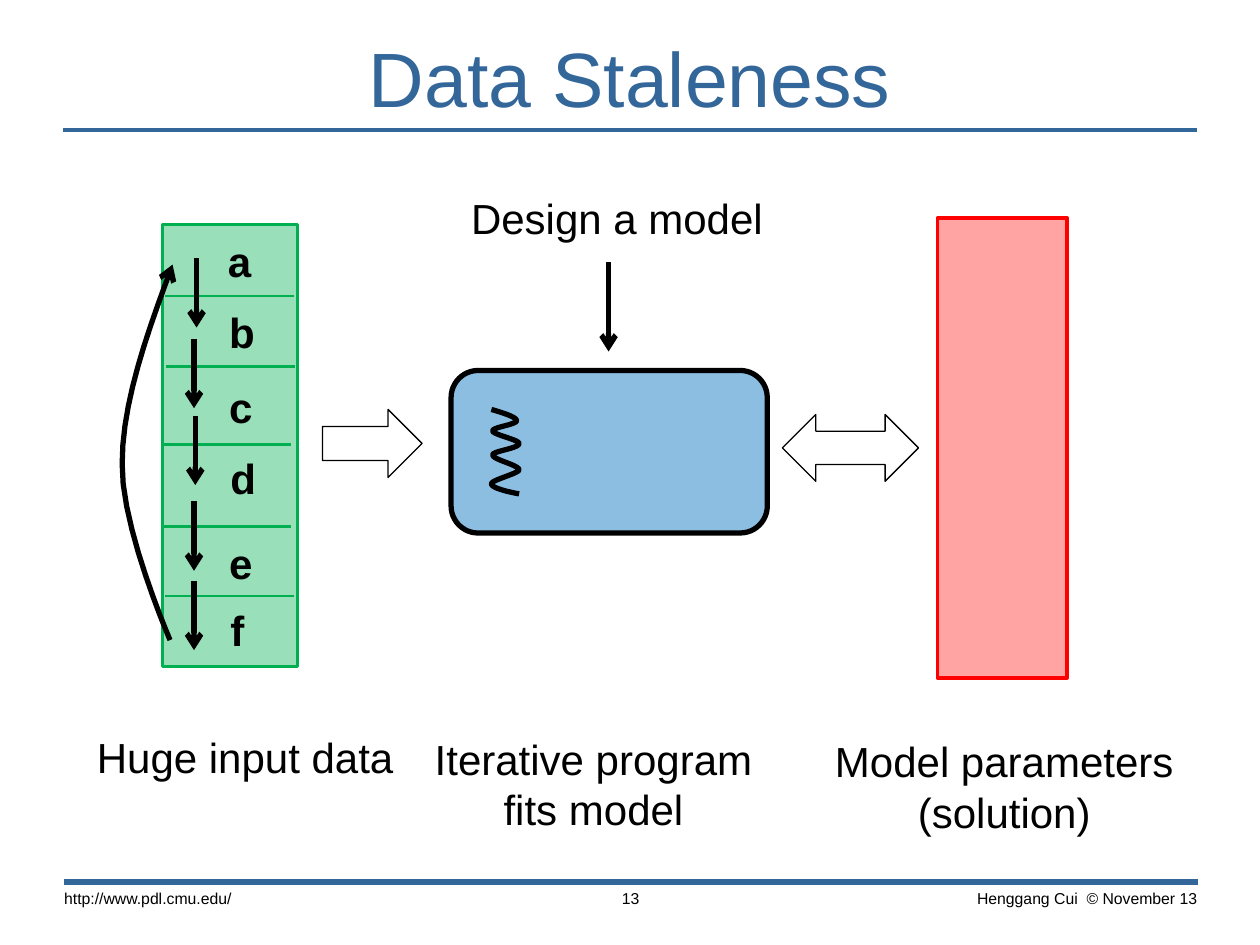
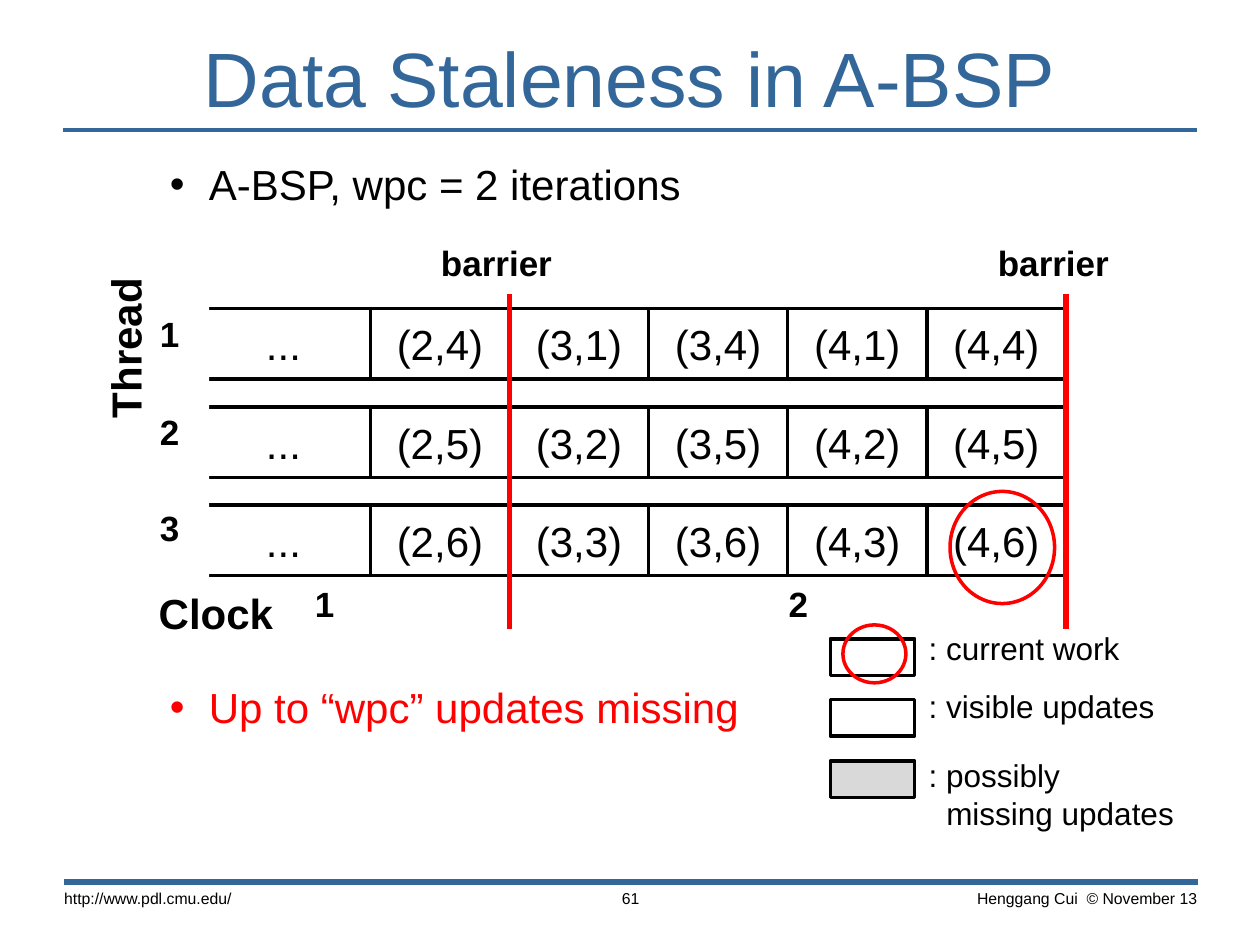
"""Builds two slides on data staleness: the iterative model and the A-BSP schedule."""
from dataclasses import dataclass

from lxml import etree
from pptx import Presentation
from pptx import util as u
from pptx.dml import color
from pptx.enum import shapes, text
from pptx.oxml import ns

FONT = "Arial"
BLUE, BLACK, WHITE = "336699", "000000", "FFFFFF"
RED, GREEN, SKY, GREY = "FF0000", "00B050", "0070C0", "D9D9D9"
LEFT, MID, RIGHT = text.PP_ALIGN.LEFT, text.PP_ALIGN.CENTER, text.PP_ALIGN.RIGHT
KIND = shapes.MSO_SHAPE
WIDE, TIGHT, FOOT = (0.1, 0.05), (0.07, 0.03), (0.11, 0.06)


@dataclass
class Label:
    """A block of text; each line is a run, parted by line breaks."""
    x: float
    y: float
    w: float
    h: float
    lines: tuple
    size: float = 24
    bold: bool = False
    align: int = LEFT
    pad: tuple = WIDE
    hang: float = 0


@dataclass
class Box:
    """A preset shape with its outline, fill and opacity in percent."""
    kind: int
    x: float
    y: float
    w: float
    h: float
    line: str = BLACK
    width: float = 2
    fill: str = ""
    alpha: int = 100


@dataclass
class Rule:
    """A straight line, with an open arrowhead at its end if wanted."""
    x: float
    y: float
    x2: float
    y2: float
    hue: str = BLACK
    width: float = 3
    arrow: bool = False


def rgb(hue: str) -> color.RGBColor:
    """Turn a hex string into a colour."""
    return color.RGBColor.from_string(hue)


def place(x: float, y: float, w: float, h: float) -> list:
    """Turn four numbers in inches into lengths."""
    return [u.Inches(n) for n in (x, y, w, h)]


def add_run(para, words: str, size: float, hue: str = BLACK, bold: bool = False) -> None:
    """Add one run in the deck font."""
    run = para.add_run()
    run.text = words
    font = run.font
    font.name, font.size, font.bold = FONT, u.Pt(size), bold
    font.color.rgb = rgb(hue)


def set_pad(frame, pad: tuple) -> None:
    """Set wrapping and the inner margins of a text frame."""
    frame.word_wrap = True
    frame.margin_left = frame.margin_right = u.Inches(pad[0])
    frame.margin_top = frame.margin_bottom = u.Inches(pad[1])


def set_hang(para, left: float, hang: float) -> None:
    """Give a paragraph a hanging indent."""
    props = para._p.get_or_add_pPr()
    props.set("marL", str(u.Inches(left)))
    props.set("indent", str(-u.Inches(hang)))


def add_label(slide, item: Label):
    """Draw a text box."""
    shape = slide.shapes.add_textbox(*place(item.x, item.y, item.w, item.h))
    set_pad(shape.text_frame, item.pad)
    para = shape.text_frame.paragraphs[0]
    para.alignment = item.align
    if item.hang:
        set_hang(para, item.hang, item.hang)
    for i, words in enumerate(item.lines):
        if i:
            para.add_line_break()
        add_run(para, words, item.size, bold=item.bold)
    return shape


def set_line(line, hue: str, width: float, end: str = "") -> None:
    """Set an outline and the arrowhead at the named end."""
    line.color.rgb = rgb(hue)
    line.width = u.Pt(width)
    if end:
        etree.SubElement(line._get_or_add_ln(), ns.qn("a:" + end)).set("type", "arrow")


def add_box(slide, item: Box):
    """Draw a preset shape."""
    shape = slide.shapes.add_shape(item.kind, *place(item.x, item.y, item.w, item.h))
    shape.shadow.inherit = False
    if item.fill:
        shape.fill.solid()
        shape.fill.fore_color.rgb = rgb(item.fill)
    else:
        shape.fill.background()
    if item.alpha < 100:
        tint = shape.element.spPr.find(ns.qn("a:solidFill"))[0]
        etree.SubElement(tint, ns.qn("a:alpha")).set("val", str(item.alpha * 1000))
    if item.line:
        set_line(shape.line, item.line, item.width)
    else:
        shape.line.fill.background()
    return shape


def add_rule(slide, item: Rule) -> None:
    """Draw a straight connector."""
    ends = place(item.x, item.y, item.x2, item.y2)
    rule = slide.shapes.add_connector(shapes.MSO_CONNECTOR.STRAIGHT, *ends)
    set_line(rule.line, item.hue, item.width, "tailEnd" if item.arrow else "")
    etree.SubElement(rule.element.spPr, ns.qn("a:effectLst"))


def add_curve(slide, start: tuple, curves: list, end: str = "", steps: int = 10) -> None:
    """Draw an open outline through cubic curves."""
    points, last = [], start
    for x1, y1, x2, y2, x3, y3 in curves:
        for i in range(1, steps + 1):
            t = i / steps
            s = 1 - t
            mix = (s ** 3, 3 * s * s * t, 3 * s * t * t, t ** 3)
            x = sum(m * n for m, n in zip(mix, (last[0], x1, x2, x3)))
            y = sum(m * n for m, n in zip(mix, (last[1], y1, y2, y3)))
            points.append((u.Inches(x), u.Inches(y)))
        last = (x3, y3)
    pen = slide.shapes.build_freeform(u.Inches(start[0]), u.Inches(start[1]))
    pen.add_line_segments(points, close=False)
    shape = pen.convert_to_shape()
    shape.shadow.inherit = False
    shape.fill.background()
    set_line(shape.line, BLACK, 3, end)


def add_slide(deck, title: str, page: int):
    """Add a slide with its title, two rules and footer."""
    slide = deck.slides.add_slide(deck.slide_layouts[5])
    head = slide.shapes.title
    head.left, head.top, head.width, head.height = place(0, 0.23, 10, 0.75)
    frame = head.text_frame
    frame.auto_size = text.MSO_AUTO_SIZE.NONE
    frame.vertical_anchor = text.MSO_ANCHOR.MIDDLE
    para = frame.paragraphs[0]
    para.alignment = MID
    add_run(para, title, 44, BLUE)
    add_rule(slide, Rule(0.5, 1.03, 9.5, 1.03, BLUE, 2))
    add_rule(slide, Rule(0.51, 7, 9.51, 7, BLUE, 3.5))
    for x, w, words, align in (
        (0.4, 2.5, "http://www.pdl.cmu.edu/", LEFT),
        (4.03, 1.95, str(page), MID),
        (7.07, 2.54, "Henggang Cui  © November 13", RIGHT),
    ):
        add_label(slide, Label(x, 6.99, w, 0.3, (words,), 9, align=align, pad=FOOT))
    return slide


def draw_model(deck) -> None:
    """Draw the slide on input data, program and parameters."""
    slide = add_slide(deck, "Data Staleness", 13)
    for box in (
        Box(KIND.ROUNDED_RECTANGLE, 3.58, 2.94, 2.51, 1.29, width=3, fill=SKY, alpha=45),
        Box(KIND.RECTANGLE, 7.44, 1.73, 1.03, 3.65, RED, fill=RED, alpha=36),
        Box(KIND.RIGHT_ARROW, 2.56, 3.25, 0.79, 0.54, width=0.75, fill=WHITE),
        Box(KIND.LEFT_RIGHT_ARROW, 6.21, 3.29, 1.08, 0.53, width=0.75, fill=WHITE),
        Box(KIND.RECTANGLE, 1.29, 1.78, 1.07, 3.51, GREEN, fill=GREEN, alpha=40),
    ):
        add_box(slide, box)
    for label in (
        Label(3.17, 5.77, 3.08, 0.91, ("Iterative program", "fits model"), align=MID),
        Label(3.64, 1.48, 2.6, 0.5, ("Design a model",)),
        Label(0.67, 5.76, 2.58, 0.5, ("Huge input data",)),
        Label(6.51, 5.79, 2.92, 0.91, ("Model parameters", "(solution)"), align=MID),
    ):
        add_label(slide, label)
    add_rule(slide, Rule(4.83, 2.08, 4.83, 2.79, arrow=True))
    for x, y in ((1.31, 2.35), (1.32, 2.91), (1.29, 3.53), (1.29, 4.18), (1.31, 4.73)):
        add_rule(slide, Rule(x, y, x + 1.02, y, GREEN, 1.5))
    add_curve(slide, (3.9, 3.25), [
        (4, 3.28, 4.1, 3.31, 4.1, 3.34),
        (4.1, 3.37, 3.91, 3.39, 3.91, 3.42),
        (3.91, 3.45, 4.12, 3.49, 4.12, 3.52),
        (4.12, 3.56, 3.91, 3.58, 3.91, 3.61),
        (3.91, 3.65, 4.12, 3.69, 4.12, 3.73),
        (4.11, 3.76, 3.9, 3.81, 3.9, 3.84),
        (3.9, 3.87, 4.01, 3.9, 4.12, 3.92),
    ])
    add_curve(slide, (1.37, 2.1), [
        (1.17, 2.64, 0.97, 3.19, 0.97, 3.68),
        (0.96, 4.18, 1.35, 5.08, 1.35, 5.08),
    ], "headEnd")
    for x, y in ((1.56, 2.05), (1.54, 2.69), (1.55, 3.3), (1.54, 3.98), (1.54, 4.61)):
        add_rule(slide, Rule(x, y, x, y + 0.55, arrow=True))
    spots = ((1.71, 1.82), (1.72, 2.38), (1.72, 2.98), (1.73, 3.54), (1.72, 4.22), (1.73, 4.75))
    for name, (x, y) in zip("abcdef", spots):
        add_label(slide, Label(x, y, 0.37, 0.5, (name,), bold=True))


def add_points(slide) -> None:
    """Write the bullets above and below the schedule."""
    frame = slide.shapes.add_textbox(*place(0.75, 1.21, 8.63, 5.08)).text_frame
    set_pad(frame, WIDE)
    points = (("A-BSP, wpc = 2 iterations", BLACK), ("Up to “wpc” updates missing", RED))
    for i, (words, hue) in enumerate(points):
        para = frame.add_paragraph() if i else frame.paragraphs[0]
        set_hang(para, 0.81, 0.31)
        if i:
            para.space_before = u.Pt(270)
        props = para._p.get_or_add_pPr()
        etree.SubElement(props, ns.qn("a:buFont")).set("typeface", FONT)
        etree.SubElement(props, ns.qn("a:buChar")).set("char", "•")
        add_run(para, words, 24, hue)


def add_cell(slide, x: float, y: float, w: float, words: str) -> None:
    """Draw one work item of the schedule."""
    shape = add_box(slide, Box(KIND.RECTANGLE, x, y, w, 0.56))
    frame = shape.text_frame
    set_pad(frame, TIGHT)
    frame.vertical_anchor = text.MSO_ANCHOR.MIDDLE
    para = frame.paragraphs[0]
    para.alignment = MID
    add_run(para, words, 24)


def draw_bsp(deck) -> None:
    """Draw the slide on the A-BSP schedule."""
    slide = add_slide(deck, "Data Staleness in A-BSP", 61)
    add_points(slide)
    first, last, cols = 2.94, 8.46, 5
    step = (last - first) / cols
    for row in range(3):
        y = 2.45 + 0.78 * row
        add_cell(slide, 1.56, y, first - 1.56, "...")
        for col in range(cols):
            clock, part = 2 + (col + 1) // 2, row + (1 if col % 2 else 4)
            add_cell(slide, first + step * col, y, step, f"({clock},{part})")
    add_box(slide, Box(KIND.RECTANGLE, 1.46, 2.36, 0.2, 2.34, "", fill=WHITE))
    add_box(slide, Box(KIND.OVAL, 7.54, 3.9, 0.83, 0.89, RED))
    for x in (first + step, last):
        add_rule(slide, Rule(x, 2.33, x, 4.99, RED))
    for x, y, w, words, size in (
        (1.2, 2.45, 0.37, "1", 20), (1.2, 3.23, 0.37, "2", 20), (1.2, 3.99, 0.37, "3", 20),
        (2.43, 4.59, 0.37, "1", 20), (6.19, 4.59, 0.37, "2", 20),
        (3.43, 1.89, 1.2, "barrier", 20), (7.85, 1.89, 1.2, "barrier", 20),
        (1.19, 4.63, 1.93, "Clock", 24),
    ):
        add_label(slide, Label(x, y, w, 0.4, (words,), size, True, pad=TIGHT))
    side = add_label(slide, Label(0.72, 1.68, 0.54, 1.67, ("Thread",), bold=True, pad=TIGHT))
    side.element.txBody.find(ns.qn("a:bodyPr")).set("vert", "vert270")
    for y, top, lines, fill in (
        (5.07, 4.96, (": current work",), ""),
        (5.55, 5.42, (": visible updates",), ""),
        (6.04, 5.97, (": possibly", "missing updates"), GREY),
    ):
        add_box(slide, Box(KIND.RECTANGLE, 6.59, y, 0.67, 0.29, fill=fill))
        add_label(slide, Label(7.3, top, 2.28, 0.37, lines, 18, pad=TIGHT, hang=0.14))
    add_box(slide, Box(KIND.OVAL, 6.69, 4.96, 0.5, 0.46, RED))


def main() -> None:
    """Build and save the deck."""
    deck = Presentation()
    deck.slide_width, deck.slide_height = u.Inches(10), u.Inches(7.5)
    draw_model(deck)
    draw_bsp(deck)
    deck.save("out.pptx")


if __name__ == "__main__":
    main()
